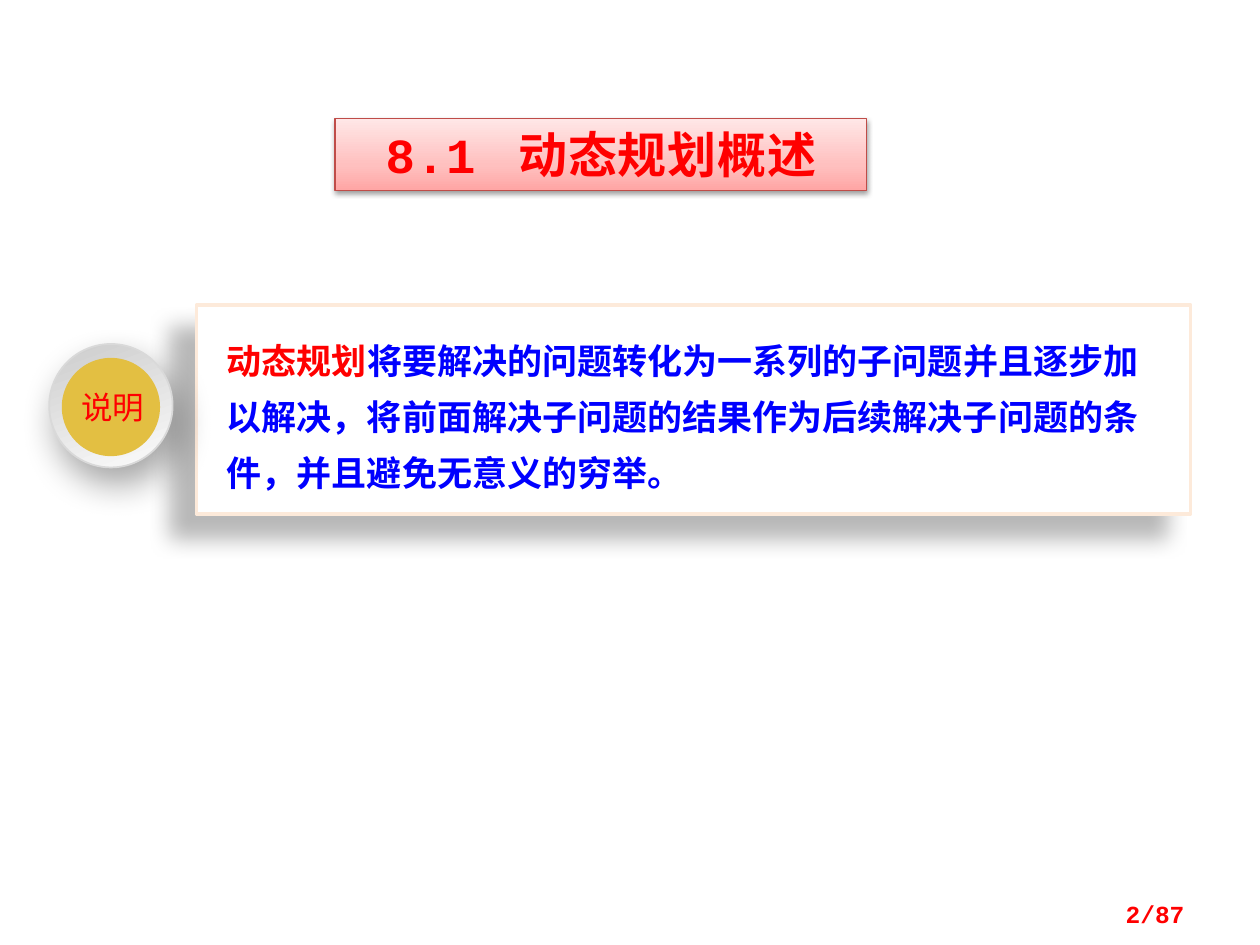
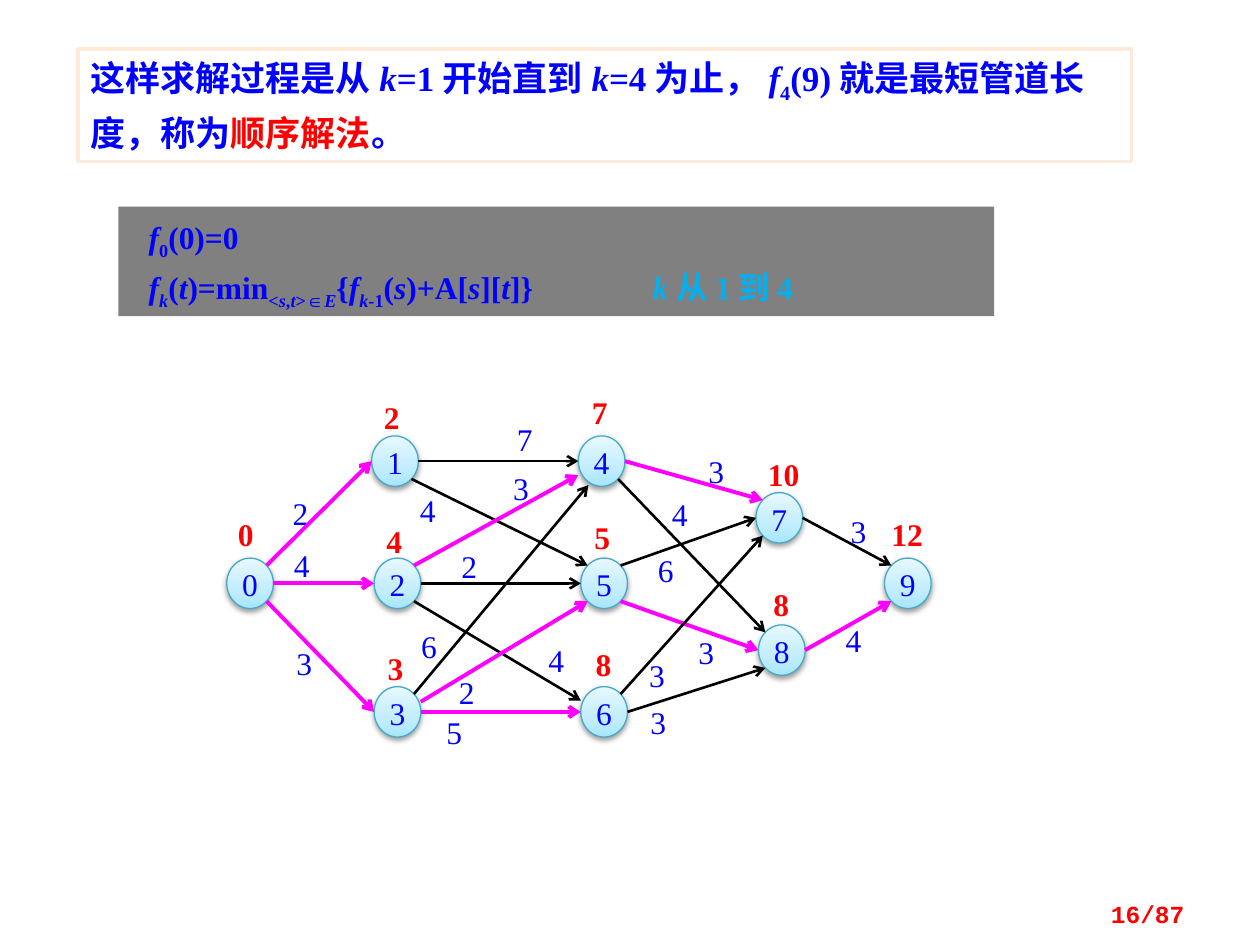
import math

import pptx
import pptx.util
import pptx.dml.color
import pptx.enum.shapes
import pptx.enum.text
import pptx.oxml.ns
from lxml import etree

qn = pptx.oxml.ns.qn
Pt = pptx.util.Pt
SHAPE = pptx.enum.shapes.MSO_SHAPE
ALIGN = pptx.enum.text.PP_ALIGN
ANCHOR = pptx.enum.text.MSO_ANCHOR

COLORS = {
    "white": "FFFFFF", "black": "000000", "red": "FF0000", "blue": "0000FF",
    "cyan": "00B0F0", "magenta": "FF00FF", "gray": "808080", "gold": "E3BF42",
    "cream": "FDEADA", "brick": "BF4C48", "teal": "46AAC5", "silver": "D9D9D9",
}
GRADIENTS = {
    "rose": (270, [(0, "FFA6A5"), (35, "FFC0BF"), (100, "FFE7E7")]),
    "sky": (270, [(0, "A7E6FF"), (35, "C1EDFF"), (100, "E7F8FF")]),
    "metal": (70, [(0, "CCCCCC"), (100, "FCFCFC")]),
}
SHADOWS = {
    "soft": (38, 3.1, 1.6, 90),
    "deep": (28, 11.8, 19.7, 141),
    "ring": (34, 20, 10, 70),
}
CJK, TIMES, MONO = "Noto Sans CJK SC", "Times New Roman", "Courier New"
FONTS = {
    "title": {"name": MONO, "size": Pt(28), "bold": True},
    "page": {"name": MONO, "size": Pt(14), "bold": True},
    "badge": {"name": CJK, "size": Pt(18)},
    "body": {"name": CJK, "size": Pt(20), "bold": True},
    "mixed": {"name": TIMES, "size": Pt(20), "bold": True},
    "formula": {"name": TIMES, "size": Pt(18), "bold": True},
    "number": {"name": TIMES, "size": Pt(18)},
}
COMPASS = {"e": 0, "se": 45, "sw": 135, "w": 180, "nw": 225, "ne": 315}
NODE_W, NODE_H = 37, 40

NODES = [
    (180, 443, "0", 180, 409), (295, 346, "2", 296, 316),
    (297, 443, "4", 298, 414), (297, 545, "3", 299, 515),
    (459, 346, "7", 461, 312), (461, 443, "5", 463, 411),
    (461, 545, "8", 464, 512), (600, 391, "10", 607, 361),
    (602, 496, "8", 605, 464), (702, 443, "12", 705, 409),
]
EDGES = [
    (0, "ne", 1, "w", "2", 225, 392, True),
    (0, "e", 2, "w", "4", 226, 433, True),
    (0, "se", 3, "w", "3", 228, 511, True),
    (1, "e", 4, "w", "7", 403, 333, False),
    (1, "se", 5, "nw", "4", 326, 390, False),
    (2, "e", 5, "w", "2", 359, 434, False),
    (2, "ne", 4, (459, 377), "3", 400, 372, True),
    (2, "se", 6, (461, 556), "4", 428, 509, False),
    (3, "e", 6, "w", "5", 347, 566, True),
    (3, (334, 557), 5, "sw", "2", 357, 534, True),
    (3, "ne", 4, (467, 385), "6", 327, 498, False),
    (4, "e", 7, "nw", "3", 555, 359, True),
    (7, "e", 9, "nw", "3", 668, 406, False),
    (8, "e", 9, "sw", "4", 664, 493, True),
    (4, "se", 8, "nw", "4", 526, 393, False),
    (5, "ne", 7, "w", "6", 515, 437, False),
    (5, "se", 8, "w", "3", 547, 502, True),
    (6, "ne", 7, "sw", "3", 508, 521, False),
    (6, "e", 8, "sw", "3", 509, 558, False),
]
FORMULA = [
    [("f", "i"), ("0", "s"), ("(0)=0", "")],
    [("f", "i"), ("k", "is"), ("(", ""), ("t", "i"), (")=min", ""),
     ("<", "s"), ("s", "is"), (",", "s"), ("t", "is"), (">∈", "s"),
     ("E", "is"), ("{", ""), ("f", "i"), ("k", "is"), ("-1", "s"), ("(", ""),
     ("s", "i"), (")+A[", ""), ("s", "i"), ("][", ""), ("t", "i"),
     ("]}\t\t", ""), ("k", "ic"), ("从1到4", "c")],
]
ORDER = [
    ("这样求解过程是从", ""), ("k", "i"), ("=1开始直到", ""), ("k", "i"),
    ("=4为止，", ""), ("f", "i"), ("4", "s"), ("(9)就是最短管道长度，称为", ""),
    ("顺序解法", "r"), ("。", ""),
]


def px(n):
    return pptx.util.Emu(round(n * 9144))


def rgb(name):
    return pptx.dml.color.RGBColor.from_string(COLORS[name])


def site(node, place):
    if isinstance(place, tuple):
        return place
    x, y = NODES[node][:2]
    angle = math.radians(COMPASS[place])
    return (x + NODE_W / 2 * (1 + math.cos(angle)),
            y + NODE_H / 2 * (1 + math.sin(angle)))


class Deck:
    """Holds the presentation style and the slide being drawn."""

    def __init__(self):
        self.prs = pptx.Presentation()
        self.prs.slide_width, self.prs.slide_height = px(1000), px(750)

    def slide(self, page):
        self.s = self.prs.slides.add_slide(self.prs.slide_layouts[6])
        sp = self.s.shapes.add_textbox(*map(px, (717, 705, 233, 40)))
        self.text(sp, [[(page, "")]], "page", "red", align=ALIGN.RIGHT,
                  anchor=ANCHOR.MIDDLE)

    def shape(self, kind, box, fill, line=None, width=1, shadow=None):
        sp = self.s.shapes.add_shape(kind, *map(px, box))
        if fill in GRADIENTS:
            self.gradient(sp, *GRADIENTS[fill])
        else:
            sp.fill.solid()
            sp.fill.fore_color.rgb = rgb(fill)
        if line:
            sp.line.color.rgb, sp.line.width = rgb(line), Pt(width)
        else:
            sp.line.fill.background()
        sp.shadow.inherit = False
        if shadow:
            self.shadow(sp, *SHADOWS[shadow])
        return sp

    def gradient(self, sp, angle, stops):
        sp.fill.gradient()
        sp.fill.gradient_angle = 360 - angle
        gs_list = sp._element.spPr.find(".//" + qn("a:gsLst"))
        for gs in list(gs_list):
            gs_list.remove(gs)
        for pos, color in stops:
            gs = etree.SubElement(gs_list, qn("a:gs"), pos=str(pos * 1000))
            etree.SubElement(gs, qn("a:srgbClr"), val=color)

    def shadow(self, sp, alpha, blur, dist, angle):
        effects = sp._element.spPr.find(qn("a:effectLst"))
        outer = etree.SubElement(
            effects, qn("a:outerShdw"), blurRad=str(Pt(blur)),
            dist=str(Pt(dist)), dir=str(angle * 60000), rotWithShape="0")
        color = etree.SubElement(outer, qn("a:srgbClr"), val=COLORS["black"])
        etree.SubElement(color, qn("a:alpha"), val=str(alpha * 1000))

    def text(self, sp, paragraphs, font, color, insets=(10, 5, 10, 5),
             align=ALIGN.LEFT, anchor=ANCHOR.TOP, wrap=True, spacing=None,
             before=0, tracking=0):
        tf = sp.text_frame
        tf.word_wrap, tf.vertical_anchor = wrap, anchor
        for side, inset in zip(("left", "top", "right", "bottom"), insets):
            setattr(tf, "margin_" + side, px(inset))
        for i, runs in enumerate(paragraphs):
            p = tf.add_paragraph() if i else tf.paragraphs[0]
            p.alignment, p.line_spacing = align, spacing
            if i:
                p.space_before = Pt(before)
            for words, marks in runs:
                self.run(p, words, marks, font, color, tracking)

    def run(self, p, words, marks, font, color, tracking):
        r = p.add_run()
        r.text = words
        for key, value in {**FONTS[font], "italic": "i" in marks}.items():
            setattr(r.font, key, value)
        accent = "red" if "r" in marks else "cyan" if "c" in marks else color
        r.font.color.rgb = rgb(accent)
        rpr = r._r.get_or_add_rPr()
        etree.SubElement(rpr, qn("a:ea"), typeface=CJK)
        if "s" in marks:
            rpr.set("baseline", "-25000")
        if tracking:
            rpr.set("spc", str(tracking))

    def label(self, words, x, y, width, font, color):
        sp = self.shape(SHAPE.RECTANGLE, (x, y, width, 28), "white")
        self.text(sp, [[(words, "")]], font, color, (0, 0, 0, 0), ALIGN.CENTER)

    def node(self, words, x, y):
        sp = self.shape(SHAPE.OVAL, (x, y, NODE_W, NODE_H), "sky", "teal",
                        0.75, "soft")
        self.text(sp, [[(words, "")]], "number", "blue", (0, 0, 0, 0),
                  ALIGN.CENTER)

    def arrow(self, start, end, color, width):
        c = self.s.shapes.add_connector(
            pptx.enum.shapes.MSO_CONNECTOR.STRAIGHT, *map(px, start + end))
        c.line.color.rgb, c.line.width = rgb(color), Pt(width)
        etree.SubElement(c.line._get_or_add_ln(), qn("a:tailEnd"), type="arrow")
        etree.SubElement(c._element.spPr, qn("a:effectLst"))


def overview(d):
    d.slide("2/87")
    sp = d.shape(SHAPE.RECTANGLE, (266, 94, 422, 57), "rose", "brick", 0.75,
                 "soft")
    d.text(sp, [[("8.1 动态规划概述", "")]], "title", "red",
           align=ALIGN.CENTER, tracking=50)
    sp = d.shape(SHAPE.RECTANGLE, (156, 242, 789, 166), "white", "cream", 2,
                 "deep")
    d.text(sp, [[("动态规划", "r"),
                 ("将要解决的问题转化为一系列的子问题并且逐步加以解决，"
                  "将前面解决子问题的结果作为后续解决子问题的条件，"
                  "并且避免无意义的穷举。", "")]],
           "body", "blue", (24, 16, 24, 16), spacing=Pt(32))
    d.shape(SHAPE.OVAL, (39, 273, 98, 98), "metal", "silver", 1, "ring")
    d.shape(SHAPE.OVAL, (49, 284, 78, 78), "gold")
    sp = d.s.shapes.add_textbox(*map(px, (54, 309, 71, 34)))
    d.text(sp, [[("说明", "")]], "badge", "red", align=ALIGN.CENTER,
           wrap=False, spacing=0.8)


def forward_solution(d):
    d.slide("16/87")
    for *_, weight, x, y, _ in EDGES:
        d.label(weight, x, y, 27, "number", "blue")
    for i, (x, y, *_) in enumerate(NODES):
        d.node(str(i), x, y)
    for a, a_site, b, b_site, *_, best in EDGES:
        d.arrow(site(a, a_site), site(b, b_site),
                *(("magenta", 2.25) if best else ("black", 1.5)))
    for *_, distance, x, y in NODES:
        d.label(distance, x, y, 30, "formula", "red")
    sp = d.shape(SHAPE.RECTANGLE, (62, 39, 836, 89), "white", "cream", 2)
    d.text(sp, [ORDER], "mixed", "blue", spacing=Pt(28))
    sp = d.shape(SHAPE.RECTANGLE, (94, 164, 695, 87), "gray")
    d.text(sp, FORMULA, "formula", "blue", (24, 12, 10, 12), spacing=0.8,
           before=9)


def main():
    d = Deck()
    overview(d)
    forward_solution(d)
    d.prs.save("out.pptx")


if __name__ == "__main__":
    main()
